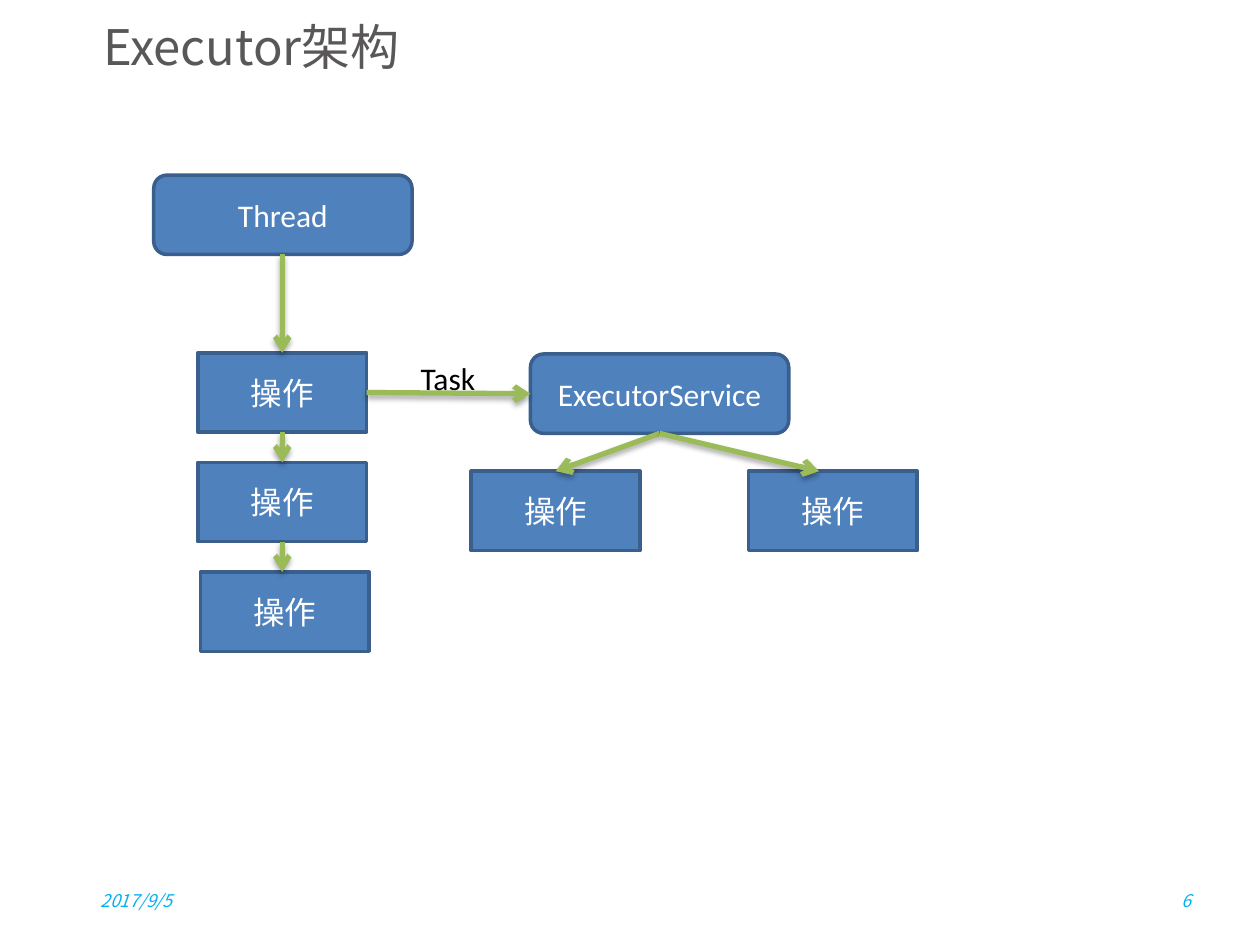
from lxml import etree
from pptx import Presentation, util as u
from pptx.dml.color import RGBColor
from pptx.enum import shapes, text
from pptx.oxml import parse_xml
from pptx.oxml.ns import nsdecls, qn

COLORS = {"title": "595757", "footer": "00B0F0", "box": "4F81BD",
          "border": "3A5F8C", "arrow": "9BBB59", "light": "FFFFFF", "dark": "000000"}
HAN_FONT, LATIN_FONT = "Noto Sans CJK SC", "Calibri"
COLUMNS, ROWS = 100, 75
LEFT, CENTER, RIGHT = text.PP_ALIGN.LEFT, text.PP_ALIGN.CENTER, text.PP_ALIGN.RIGHT
TOP, MIDDLE = text.MSO_ANCHOR.TOP, text.MSO_ANCHOR.MIDDLE
SHADOW = (f'<a:effectLst {nsdecls("a")}><a:outerShdw blurRad="40000" dist="23000" '
          'dir="5400000" rotWithShape="0"><a:srgbClr val="000000">'
          '<a:alpha val="35000"/></a:srgbClr></a:outerShdw></a:effectLst>')


class Board:
    """Holds the style and the current page; lengths are grid columns and rows."""

    def __init__(self, deck):
        self.page = deck.slides.add_slide(deck.slide_layouts[6])
        self.column = deck.slide_width / COLUMNS
        self.row = deck.slide_height / ROWS

    def place(self, *lengths):
        units = (self.column, self.row) * 2
        return [u.Emu(round(length * unit)) for length, unit in zip(lengths, units)]

    def set_words(self, shape, words, color, size=18, font=LATIN_FONT, align=CENTER,
                  anchor=MIDDLE, italic=False, wrap=True):
        frame = shape.text_frame
        frame.word_wrap, frame.vertical_anchor = wrap, anchor
        para = frame.paragraphs[0]
        para.alignment = align
        span = para.add_run()
        span.text = words
        for name, value in {"size": u.Pt(size), "name": font, "italic": italic}.items():
            setattr(span.font, name, value)
        span.font.color.rgb = RGBColor.from_string(COLORS[color])
        latin = span.font._element.find(qn("a:latin"))
        latin.addnext(etree.Element(qn("a:ea"), typeface=HAN_FONT))

    def label(self, words, area, color, **style):
        box = self.page.shapes.add_textbox(*self.place(*area))
        self.set_words(box, words, color, **{"align": LEFT, **style})
        return box

    def box(self, words, area, kind):
        box = self.page.shapes.add_shape(kind, *self.place(*area))
        box.shadow.inherit = False
        box.fill.solid()
        box.fill.fore_color.rgb = RGBColor.from_string(COLORS["box"])
        box.line.color.rgb = RGBColor.from_string(COLORS["border"])
        box.line.width = u.Pt(2)
        self.set_words(box, words, "light")

    def arrow(self, start, end):
        arrow = self.page.shapes.add_connector(
            shapes.MSO_CONNECTOR.STRAIGHT, *self.place(*start, *end))
        arrow.line.color.rgb = RGBColor.from_string(COLORS["arrow"])
        arrow.line.width = u.Pt(3)
        properties = arrow._element.spPr
        etree.SubElement(properties.find(qn("a:ln")), qn("a:tailEnd"), type="arrow")
        properties.append(parse_xml(SHADOW))


deck = Presentation()
deck.slide_width, deck.slide_height = u.Inches(10), u.Inches(7.5)
board = Board(deck)

# Title and footer
board.label("Executor架构", (7.2, 0.8, 90, 6.3), "title",
            size=28, font=HAN_FONT, anchor=TOP)
for words, left, align in (("2017/9/5", 7, LEFT), ("6", 72.2, RIGHT)):
    board.label(words, (left, 69.5, 23.3, 4), "footer",
                size=10, font=HAN_FONT, align=align, italic=True)

# Thread and executor service
HEIGHT, WIDE, NARROW = 6.3, 20.5, 13.4
thread_top, service_left, service_top = 13.9, 42.1, 28.1
for words, left, top in (("Thread", 12.2, thread_top),
                         ("ExecutorService", service_left, service_top)):
    board.box(words, (left, top, WIDE, HEIGHT), shapes.MSO_SHAPE.ROUNDED_RECTANGLE)

# Operations: a column under the thread, a pair under the service
step_left, step_tops, worker_top = 15.7, [28 + 8.7 * step for step in range(3)], 37.4
steps = list(zip((step_left, step_left, 15.9), step_tops))
for left, top in steps + [(37.4, worker_top), (59.4, worker_top)]:
    board.box("操作", (left, top, NARROW, HEIGHT), shapes.MSO_SHAPE.RECTANGLE)

# Arrows down the thread
axis = step_left + NARROW / 2
for above, below in zip([thread_top] + step_tops, step_tops):
    board.arrow((axis, above + HEIGHT), (axis, below))

# Task handed to the service, then on to its workers
board.arrow((step_left + NARROW, step_tops[0] + HEIGHT / 2),
            (service_left, service_top + HEIGHT / 2))
task = board.label("Task", (32.4, 28, 6.4, 4), "dark", anchor=TOP, wrap=False)
task.text_frame.auto_size = text.MSO_AUTO_SIZE.SHAPE_TO_FIT_TEXT
for worker in (44.1, 65):
    board.arrow((service_left + WIDE / 2, service_top + HEIGHT), (worker, worker_top))

deck.save("out.pptx")
